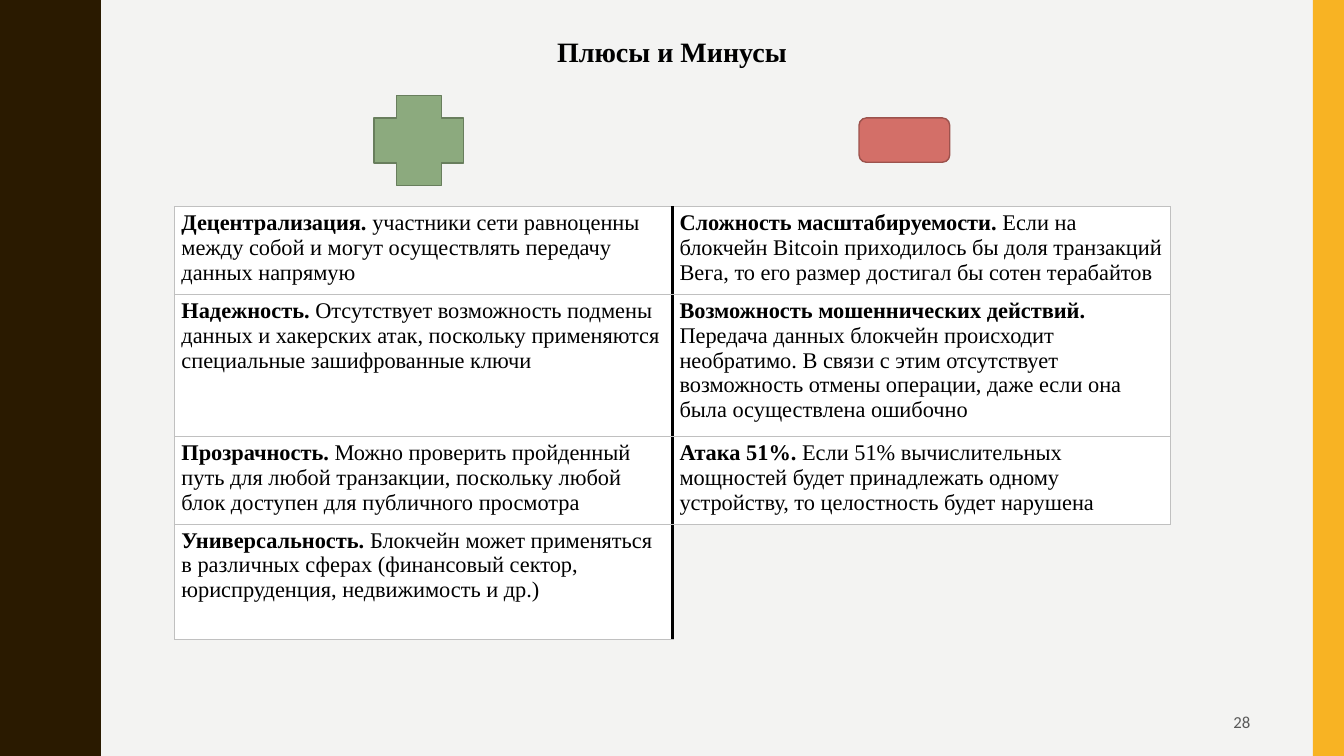
import pptx
import pptx.dml.color
import pptx.enum.shapes
import pptx.enum.text
import pptx.oxml
import pptx.oxml.ns
import pptx.util

Inches = pptx.util.Inches
Pt = pptx.util.Pt
Align = pptx.enum.text.PP_ALIGN
Anchor = pptx.enum.text.MSO_ANCHOR
Preset = pptx.enum.shapes.MSO_SHAPE

# Content: one row per pair (plus, minus), each a bold lead and its explanation
HEADING = "Плюсы и Минусы"
PAGE_NUMBER = "28"
ARGUMENTS = [
    (("Децентрализация.",
      " участники сети равноценны между собой и могут осуществлять передачу данных напрямую"),
     ("Сложность масштабируемости.",
      " Если на блокчейн Bitcoin приходилось бы доля транзакций Вега, "
      "то его размер достигал бы сотен терабайтов")),
    (("Надежность.",
      " Отсутствует возможность подмены данных и хакерских атак, "
      "поскольку применяются специальные зашифрованные ключи"),
     ("Возможность мошеннических действий.",
      " Передача данных блокчейн происходит необратимо. В связи с этим отсутствует "
      "возможность отмены операции, даже если она была осуществлена ошибочно")),
    (("Прозрачность.",
      " Можно проверить пройденный путь для любой транзакции, "
      "поскольку любой блок доступен для публичного просмотра"),
     ("Атака 51%.",
      " Если 51% вычислительных мощностей будет принадлежать одному устройству, "
      "то целостность будет нарушена")),
    (("Универсальность.",
      " Блокчейн может применяться в различных сферах "
      "(финансовый сектор, юриспруденция, недвижимость и др.)"),
     None),
]
ROW_HEIGHTS = [0.87, 1.41, 0.87, 1.14]
COLUMN_WIDTH = 4.94

# Half a wave of the left edge, mirrored for the other half
HALF_WAVE = [(0.78, 0), (0.78, 0.07), (0.79, 0.14), (0.8, 0.2), (0.81, 0.25),
             (0.83, 0.29), (0.85, 0.33), (0.87, 0.38), (0.89, 0.42), (0.91, 0.46),
             (0.93, 0.5), (0.95, 0.55), (0.96, 0.61), (0.97, 0.68), (0.97, 0.75)]
WAVE_PERIOD = 1.5
WAVE_COUNT = 5

GRID = ("C0C0C0", 0.75)
DIVIDER = ("000000", 3)
PLAIN_TABLE_STYLE = "{2D5ABB26-0587-4C30-8999-92F81FD0307C}"


def rgb(color):
    return pptx.dml.color.RGBColor.from_string(color)


def box(left, top, width, height):
    return [Inches(length) for length in (left, top, width, height)]


def paint(shape, fill, line=None):
    shape.shadow.inherit = False
    shape.fill.solid()
    shape.fill.fore_color.rgb = rgb(fill)
    if line:
        shape.line.color.rgb = rgb(line)
        shape.line.width = Pt(1)
    else:
        shape.line.fill.background()


def add_run(paragraph, text, size, bold=False, color="000000", font="Times New Roman"):
    run = paragraph.add_run()
    run.text = text
    run.font.size = Pt(size)
    run.font.bold = bold
    run.font.name = font
    run.font.color.rgb = rgb(color)


def add_borders(cell, borders):
    """borders maps a side (L, R, T, B) to (colour, points), in that order."""
    properties = cell._tc.get_or_add_tcPr()
    for side, (color, points) in borders.items():
        properties.append(pptx.oxml.parse_xml(
            f'<a:ln{side} {pptx.oxml.ns.nsdecls("a")} w="{int(Pt(points))}">'
            f'<a:solidFill><a:srgbClr val="{color}"/></a:solidFill></a:ln{side}>'))


def main():
    deck = pptx.Presentation()
    deck.slide_width, deck.slide_height = Inches(13.33), Inches(7.5)
    slide = deck.slides.add_slide(deck.slide_layouts[5])
    shapes = slide.shapes
    slide.background.fill.solid()
    slide.background.fill.fore_color.rgb = rgb("F3F3F2")

    # Wavy left edge and right stripe
    period = HALF_WAVE + [(x, WAVE_PERIOD - y) for x, y in HALF_WAVE[-2::-1]]
    edge = [(x, y + wave * WAVE_PERIOD) for wave in range(WAVE_COUNT) for x, y in period]
    outline = shapes.build_freeform(0, 0, scale=Inches(1))
    outline.add_line_segments(edge + [(0, 7.5)], close=True)
    paint(outline.convert_to_shape(), "2A1A00")
    paint(shapes.add_shape(Preset.RECTANGLE, *box(13.02, 0, 0.31, 7.5)), "F8B323")

    # Heading
    heading = shapes.title
    heading.left, heading.top, heading.width, heading.height = box(0, 0.29, 13.33, 0.44)
    heading.text_frame.vertical_anchor = Anchor.TOP
    heading.text_frame.paragraphs[0].alignment = Align.CENTER
    add_run(heading.text_frame.paragraphs[0], HEADING, 20, bold=True)

    # Plus and minus signs
    paint(shapes.add_shape(Preset.CROSS, *box(3.71, 0.95, 0.89, 0.89)), "8CAA7E", "687E5D")
    paint(shapes.add_shape(Preset.ROUNDED_RECTANGLE, *box(8.52, 1.17, 0.9, 0.44)),
          "D36F68", "9C524D")

    # Table of arguments
    table = shapes.add_table(len(ARGUMENTS), 2, *box(
        1.73, 2.05, 2 * COLUMN_WIDTH, sum(ROW_HEIGHTS))).table
    table.first_row = table.horz_banding = False
    table._tbl.tblPr.find(pptx.oxml.ns.qn("a:tableStyleId")).text = PLAIN_TABLE_STYLE
    for column in table.columns:
        column.width = Inches(COLUMN_WIDTH)
    for row, (height, pair) in enumerate(zip(ROW_HEIGHTS, ARGUMENTS)):
        table.rows[row].height = Inches(height)
        for side, argument in enumerate(pair):
            cell = table.cell(row, side)
            if argument is None:
                add_borders(cell, {"L": DIVIDER})
                cell.fill.background()
                continue
            borders = {"L": DIVIDER if side else GRID, "R": GRID if side else DIVIDER, "T": GRID}
            is_last = row + 1 == len(ARGUMENTS)
            if is_last or ARGUMENTS[row + 1][side]:
                borders["B"] = GRID
            add_borders(cell, borders)
            cell.fill.solid()
            cell.fill.fore_color.rgb = rgb("FFFFFF")
            cell.margin_left = cell.margin_right = Inches(0.07)
            cell.margin_top = cell.margin_bottom = Inches(0.04)
            lead, explanation = argument
            paragraph = cell.text_frame.paragraphs[0]
            add_run(paragraph, lead, 16, bold=True)
            add_run(paragraph, explanation, 16)

    # Page number
    number = shapes.add_textbox(*box(9.42, 6.97, 3.08, 0.38)).text_frame
    number.word_wrap = True
    number.vertical_anchor = Anchor.MIDDLE
    number.paragraphs[0].alignment = Align.RIGHT
    add_run(number.paragraphs[0], PAGE_NUMBER, 12, color="595959", font="Calibri")

    deck.save("out.pptx")


if __name__ == "__main__":
    main()
